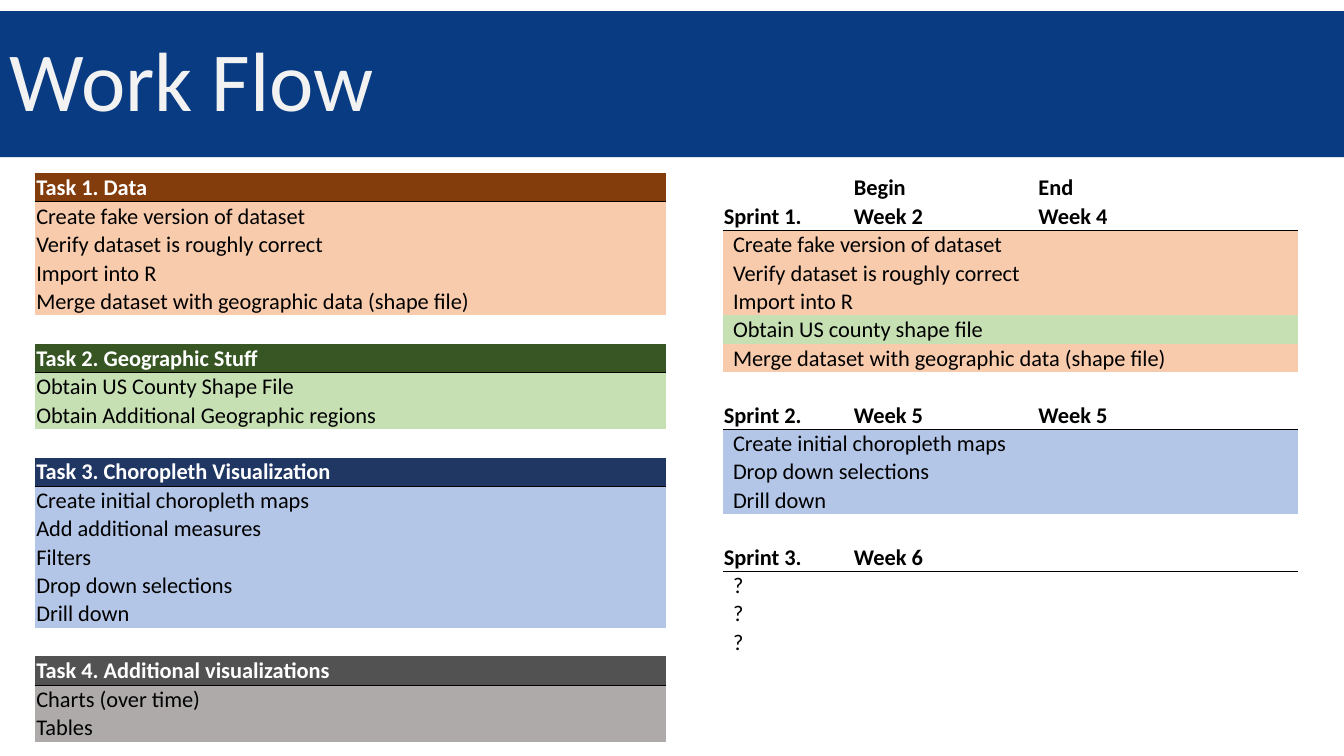
from dataclasses import dataclass

from lxml import etree
from pptx import Presentation
from pptx.dml.color import RGBColor
from pptx.enum.shapes import MSO_SHAPE
from pptx.enum.text import MSO_ANCHOR, PP_ALIGN
from pptx.oxml.ns import qn
from pptx.util import Inches, Pt

RECT = MSO_SHAPE.RECTANGLE
MIDDLE, BOTTOM = MSO_ANCHOR.MIDDLE, MSO_ANCHOR.BOTTOM
LEFT = PP_ALIGN.LEFT
NO_STYLE_NO_GRID = "{2D5ABB26-0587-4C30-8999-92F81FD0307C}"


class Theme:
    font = "Calibri"
    title_size, body_size, rule_width = 60, 16, 0.5
    banner, title = "083B82", "F2F2F2"
    black, white = "000000", "FFFFFF"
    brown, peach = "833C0C", "F8CBAD"
    forest, mint = "375623", "C6E0B4"
    navy, sky = "203764", "B4C6E7"
    charcoal, silver = "525252", "AEAAAA"


@dataclass
class Row:
    texts: tuple = ()
    span: int = 1
    fill: str = ""
    color: str = Theme.black
    bold: bool = False
    anchor: MSO_ANCHOR = BOTTOM
    indent: float = 0.01
    rule: bool = False


class SlideBuilder:
    def __init__(self, slide, theme):
        self.s = slide
        self.theme = theme

    def add_run(self, p, text, size, color, bold=False):
        r = p.add_run()
        r.text = text
        r.font.name = self.theme.font
        r.font.size = Pt(size)
        r.font.bold = bold
        r.font.color.rgb = RGBColor.from_string(color)

    def banner(self, text, left, top, width, height):
        sp = self.s.shapes.add_shape(
            RECT, Inches(left), Inches(top), Inches(width), Inches(height))
        sp.shadow.inherit = False
        sp.fill.solid()
        sp.fill.fore_color.rgb = RGBColor.from_string(self.theme.banner)
        sp.line.fill.background()
        tf = sp.text_frame
        tf.word_wrap = True
        tf.vertical_anchor = MIDDLE
        p = tf.paragraphs[0]
        p.alignment = LEFT
        p.line_spacing = 0.9
        self.add_run(p, text, self.theme.title_size, self.theme.title)

    def table(self, rows, left, top, widths, row_height):
        frame = self.s.shapes.add_table(
            len(rows), len(widths), Inches(left), Inches(top),
            Inches(sum(widths)), Inches(row_height * len(rows)))
        table = frame.table
        table.first_row = table.horz_banding = False
        table._tbl.tblPr.find(qn("a:tableStyleId")).text = NO_STYLE_NO_GRID
        for column, width in zip(table.columns, widths):
            column.width = Inches(width)
        for i, row in enumerate(rows):
            table.rows[i].height = Inches(row_height)
            for j in range(len(widths)):
                text = row.texts[j] if j < len(row.texts) else ""
                self.fill_cell(table.cell(i, j), text, row)
            if row.span > 1:
                table.cell(i, 0).merge(table.cell(i, row.span - 1))

    def fill_cell(self, cell, text, row):
        cell.margin_left = Inches(row.indent)
        cell.margin_right = cell.margin_top = Inches(0.01)
        cell.margin_bottom = 0
        cell.vertical_anchor = row.anchor
        if row.fill:
            cell.fill.solid()
            cell.fill.fore_color.rgb = RGBColor.from_string(row.fill)
        else:
            cell.fill.background()
        if row.rule:
            self.rule_below(cell)
        p = cell.text_frame.paragraphs[0]
        if text:
            self.add_run(p, text, self.theme.body_size, row.color, row.bold)
        else:
            # Empty cells keep the body size so that the row stays low
            end = p._p.get_or_add_endParaRPr()
            end.set("sz", str(self.theme.body_size * 100))
            etree.SubElement(end, qn("a:latin")).set("typeface", self.theme.font)

    def rule_below(self, cell):
        line = etree.Element(qn("a:lnB"), w=str(Pt(self.theme.rule_width)))
        fill = etree.SubElement(line, qn("a:solidFill"))
        etree.SubElement(fill, qn("a:srgbClr"), val=self.theme.black)
        cell._tc.get_or_add_tcPr().insert(0, line)


# Tasks: heading, columns spanned, heading fill, item fill, anchor, items
TASKS = [
    ("Task 1. Data", 2, Theme.brown, Theme.peach, MIDDLE, [
        ("Create fake version of dataset", 3),
        ("Verify dataset is roughly correct", 3),
        ("Import into R", 2),
        ("Merge dataset with geographic data (shape file)", 5)]),
    ("Task 2. Geographic Stuff", 3, Theme.forest, Theme.mint, MIDDLE, [
        ("Obtain US County Shape File", 3),
        ("Obtain Additional Geographic regions", 4)]),
    ("Task 3. Choropleth Visualization", 4, Theme.navy, Theme.sky, BOTTOM, [
        ("Create initial choropleth maps", 3),
        ("Add additional measures", 3),
        ("Filters", 1),
        ("Drop down selections", 3),
        ("Drill down", 2)]),
    ("Task 4. Additional visualizations", 4, Theme.charcoal, Theme.silver, BOTTOM, [
        ("Charts (over time)", 2),
        ("Tables", 1)]),
]

# Sprints: heading cells, anchor, items with columns spanned and fill
SPRINTS = [
    (("Sprint 1.", "Week 2", "Week 4"), MIDDLE, [
        ("Create fake version of dataset", 3, Theme.peach),
        ("Verify dataset is roughly correct", 3, Theme.peach),
        ("Import into R", 2, Theme.peach),
        ("Obtain US county shape file", 3, Theme.mint),
        ("Merge dataset with geographic data (shape file)", 4, Theme.peach)]),
    (("Sprint 2.", "Week 5", "Week 5"), BOTTOM, [
        ("Create initial choropleth maps", 3, Theme.sky),
        ("Drop down selections", 2, Theme.sky),
        ("Drill down", 2, Theme.sky)]),
    (("Sprint 3.", "Week 6"), BOTTOM, [("?", 1, "")] * 3),
]


def task_rows():
    rows = []
    for heading, span, dark, light, anchor, items in TASKS:
        if rows:
            rows.append(Row())
        rows.append(Row((heading,), span, dark, Theme.white, True, anchor, rule=True))
        rows += [Row((item,), n, light, anchor=anchor) for item, n in items]
    return rows


def sprint_rows():
    rows = [Row(("", "Begin", "End"), bold=True)]
    for labels, anchor, items in SPRINTS:
        if len(rows) > 1:
            rows.append(Row())
        rows.append(Row(labels, bold=True, rule=True))
        rows += [Row((item,), n, fill, anchor=anchor, indent=0.1)
                 for item, n, fill in items]
    return rows


def main():
    prs = Presentation()
    prs.slide_width, prs.slide_height = Inches(13.33), Inches(7.5)
    builder = SlideBuilder(prs.slides.add_slide(prs.slide_layouts[6]), Theme)
    # Task list on the left, sprint plan on the right
    builder.table(task_rows(), 0.35, 1.72, [1.09, 1.09, 1.36, 1.36, 1.36], 0.28)
    builder.table(sprint_rows(), 7.17, 1.72, [1.29, 1.83, 1.29, 1.29], 0.28)
    # Title banner
    builder.banner("Work Flow", 0, 0.11, 13.33, 1.45)
    prs.save("out.pptx")


if __name__ == "__main__":
    main()
